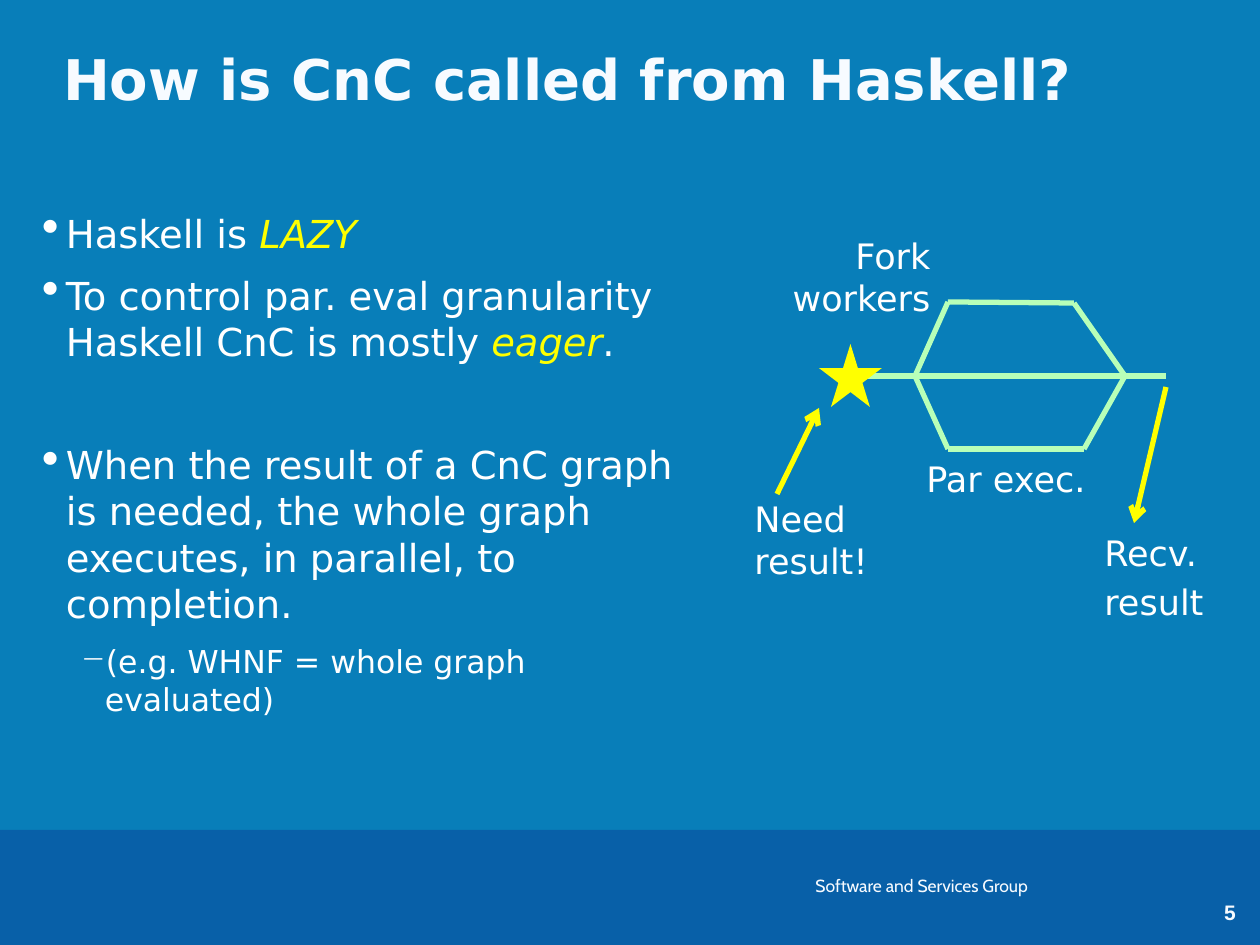
import dataclasses
import typing

import lxml.etree
import pptx
import pptx.dml.color
import pptx.enum.shapes
import pptx.enum.text
import pptx.oxml.ns
import pptx.util

PX_PER_INCH = 126
WHITE, OFF_WHITE, YELLOW, GREEN = "FFFFFF", "F7FBFF", "FFFF00", "B8FFB8"
SANS = "DejaVu Sans"
ALIGN = pptx.enum.text.PP_ALIGN
ANCHOR = pptx.enum.text.MSO_ANCHOR
SHAPE = pptx.enum.shapes.MSO_SHAPE


class Rect(typing.NamedTuple):
    left: int
    top: int
    width: int
    height: int


class Point(typing.NamedTuple):
    x: int
    y: int


@dataclasses.dataclass
class Line:
    start: Point
    end: Point
    color: str = GREEN
    arrow: bool = False


@dataclasses.dataclass
class Label:
    rect: Rect
    lines: list[str]
    align: ALIGN = ALIGN.LEFT


@dataclasses.dataclass
class Bullet:
    spans: list[tuple[str, bool]]
    size: int = 22
    mark: str = "•"
    mark_percent: int = 130
    level: int = 0
    margin: int = 24
    space_after: int = 9


def px(length: int) -> int:
    return pptx.util.Inches(length / PX_PER_INCH)


def rgb(color: str) -> pptx.dml.color.RGBColor:
    return pptx.dml.color.RGBColor.from_string(color)


def add_xml(parent, tag: str, **attributes: str):
    return lxml.etree.SubElement(parent, pptx.oxml.ns.qn(tag), attributes)


def add_span(para, text: str, *, size: int, color: str = WHITE, font: str = SANS,
             bold: bool = False, italic: bool = False) -> None:
    span = para.add_run()
    span.text = text
    span.font.size = pptx.util.Pt(size)
    span.font.name = font
    span.font.bold = bold
    span.font.italic = italic
    span.font.color.rgb = rgb(color)


def set_frame(frame, *, wrap: bool = True, inset: bool = False,
              anchor: ANCHOR = ANCHOR.TOP) -> None:
    frame.word_wrap = wrap
    frame.vertical_anchor = anchor
    frame.auto_size = pptx.enum.text.MSO_AUTO_SIZE.NONE
    if not inset:
        frame.margin_left = frame.margin_right = 0
        frame.margin_top = frame.margin_bottom = 0


def add_text_box(page, rect: Rect, **frame_format):
    box = page.shapes.add_textbox(*map(px, rect))
    set_frame(box.text_frame, **frame_format)
    return box.text_frame


def add_filled_shape(page, kind: SHAPE, rect: Rect, color: str) -> None:
    shape = page.shapes.add_shape(kind, *map(px, rect))
    shape.shadow.inherit = False
    shape.fill.solid()
    shape.fill.fore_color.rgb = rgb(color)
    shape.line.fill.background()


def add_line(page, line: Line) -> None:
    connector = page.shapes.add_connector(
        pptx.enum.shapes.MSO_CONNECTOR.STRAIGHT, *map(px, line.start + line.end))
    connector.line.color.rgb = rgb(line.color)
    connector.line.width = pptx.util.Pt(3)
    if line.arrow:
        add_xml(connector.line._get_or_add_ln(), "a:tailEnd", type="arrow")
    add_xml(connector._element.spPr, "a:effectLst")


def add_label(page, label: Label) -> None:
    frame = add_text_box(page, label.rect, wrap=False, inset=True)
    for index, text in enumerate(label.lines):
        para = frame.add_paragraph() if index else frame.paragraphs[0]
        para.alignment = label.align
        if index:
            para.space_before = pptx.util.Pt(4)
        for part_index, part in enumerate(text.split("\n")):
            if part_index:
                para.add_line_break()
            add_span(para, part, size=20)


def add_bullets(page, rect: Rect, bullets: list[Bullet]) -> None:
    frame = add_text_box(page, rect)
    for index, bullet in enumerate(bullets):
        para = frame.add_paragraph() if index else frame.paragraphs[0]
        para.level = bullet.level
        properties = para._p.get_or_add_pPr()
        properties.set("marL", str(px(bullet.margin)))
        properties.set("indent", str(-px(24)))
        add_xml(properties, "a:buSzPct", val=str(bullet.mark_percent * 1000))
        add_xml(properties, "a:buChar", char=bullet.mark)
        para.space_after = pptx.util.Pt(bullet.space_after)
        for text, stressed in bullet.spans:
            add_span(para, text, size=bullet.size, italic=stressed,
                     color=YELLOW if stressed else WHITE)


FORK, JOIN = Point(915, 376), Point(1125, 376)
TOP_LEFT, TOP_RIGHT = Point(948, 302), Point(1074, 303)
BOTTOM_LEFT, BOTTOM_RIGHT = Point(948, 449), Point(1084, 449)

GRAPH_LINES = [
    Line(TOP_LEFT, FORK),
    Line(JOIN, Point(852, 376)),
    Line(BOTTOM_LEFT, FORK),
    Line(JOIN, TOP_RIGHT),
    Line(TOP_RIGHT, TOP_LEFT),
    Line(BOTTOM_RIGHT, BOTTOM_LEFT),
    Line(JOIN, BOTTOM_RIGHT),
    Line(Point(1166, 376), JOIN),
]
ARROWS = [
    Line(Point(777, 494), Point(819, 408), YELLOW, True),
    Line(Point(1166, 387), Point(1134, 523), YELLOW, True),
]
LABELS = [
    Label(Rect(742, 491, 140, 97), ["Need\nresult!"]),
    Label(Rect(1092, 525, 126, 106), ["Recv.", "result"]),
    Label(Rect(914, 451, 190, 55), ["Par exec."]),
    Label(Rect(777, 228, 166, 97), ["Fork\nworkers"], ALIGN.RIGHT),
]
BULLETS = [
    Bullet([("Haskell is ", False), ("LAZY", True)]),
    Bullet([("To control par. eval granularity Haskell CnC is mostly ", False),
            ("eager", True), (".", False)], space_after=44),
    Bullet([("When the result of a CnC graph is needed, the whole graph "
             "executes, in parallel, to completion.", False)]),
    Bullet([("(e.g. WHNF = whole graph evaluated)", False)], size=18, mark="−",
           mark_percent=100, level=1, margin=63),
]


def main() -> None:
    deck = pptx.Presentation()
    deck.slide_width, deck.slide_height = px(1260), px(945)
    page = deck.slides.add_slide(deck.slide_layouts[5])
    page.background.fill.solid()
    page.background.fill.fore_color.rgb = rgb("087EB9")

    add_filled_shape(page, SHAPE.RECTANGLE, Rect(0, 830, 1260, 115), "0860A8")
    footer = add_text_box(page, Rect(803, 869, 273, 34), wrap=False, inset=True)
    add_span(footer.paragraphs[0], "Software and Services Group", size=10,
             color=OFF_WHITE, font="Cabin")
    number = add_text_box(page, Rect(1200, 852, 60, 73), anchor=ANCHOR.BOTTOM)
    number.paragraphs[0].alignment = ALIGN.CENTER
    add_span(number.paragraphs[0], "5", size=12, color=OFF_WHITE, font="Arial", bold=True)

    title = page.shapes.title
    title.left, title.top, title.width, title.height = map(px, Rect(63, 45, 1133, 125))
    set_frame(title.text_frame)
    title.text_frame.paragraphs[0].alignment = ALIGN.LEFT
    add_span(title.text_frame.paragraphs[0], "How is CnC called from Haskell?",
             size=32, color=OFF_WHITE, bold=True)

    add_bullets(page, Rect(42, 210, 640, 609), BULLETS)
    for line in GRAPH_LINES:
        add_line(page, line)
    add_filled_shape(page, SHAPE.STAR_5_POINT, Rect(819, 344, 63, 63), YELLOW)
    for arrow in ARROWS:
        add_line(page, arrow)
    for label in LABELS:
        add_label(page, label)
    deck.save("out.pptx")


if __name__ == "__main__":
    main()
